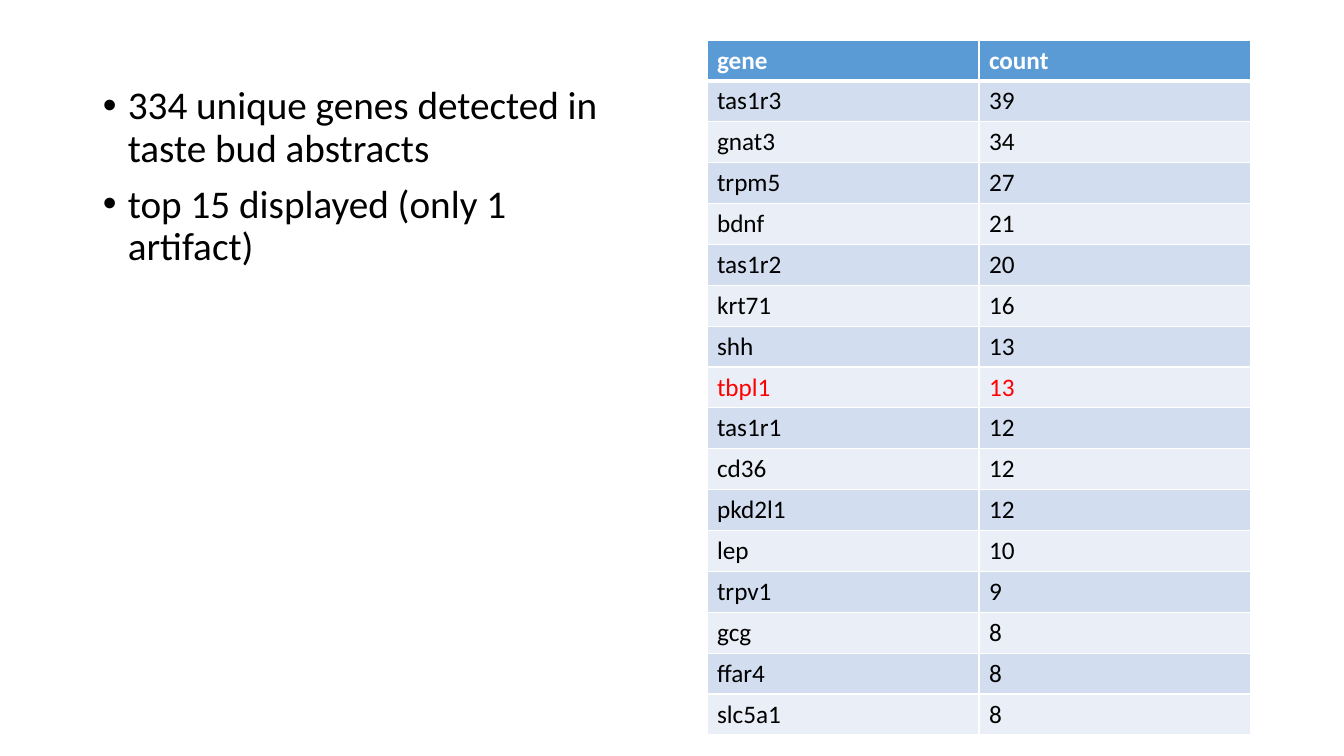
from lxml.etree import SubElement as Sub
from pptx import Presentation
from pptx.dml.color import RGBColor as RGB
from pptx.oxml.ns import qn
from pptx.util import Pt

EMU_PER_PX = 914400 / 100.8

COLORS = {
    "text": "000000",
    "artifact": "FF0000",
    "white": "FFFFFF",
    "header": "5B9BD5",
    "odd": "D2DEEF",
    "even": "EAEFF7",
}

FINDINGS = [
    "334 unique genes detected in taste bud abstracts",
    "top 15 displayed (only 1 artifact)",
]

GENE_COUNTS = [
    ("tas1r3", 39), ("gnat3", 34), ("trpm5", 27), ("bdnf", 21),
    ("tas1r2", 20), ("krt71", 16), ("shh", 13), ("tbpl1", 13),
    ("tas1r1", 12), ("cd36", 12), ("pkd2l1", 12), ("lep", 10),
    ("trpv1", 9), ("gcg", 8), ("ffar4", 8), ("slc5a1", 8),
]
ARTIFACT_GENE = "tbpl1"


def px(length):
    return round(length * EMU_PER_PX)


def write(paragraph, text, size=18, color="text", bold=False):
    run = paragraph.add_run()
    run.text = text
    run.font.name = "Calibri"
    run.font.size = Pt(size)
    run.font.bold = bold
    run.font.color.rgb = RGB.from_string(COLORS[color])


def add_bullet(paragraph):
    props = paragraph._p.get_or_add_pPr()
    props.set("marL", str(px(25)))
    props.set("indent", str(-px(25)))
    Sub(props, qn("a:buFont"), typeface="Arial")
    Sub(props, qn("a:buChar"), char="•")


def add_bullet_list(slide, items, left, top, width, height):
    frame = slide.shapes.add_textbox(px(left), px(top), px(width), px(height)).text_frame
    frame.word_wrap = True
    for index, item in enumerate(items):
        paragraph = frame.add_paragraph() if index else frame.paragraphs[0]
        paragraph.line_spacing = 0.9
        if index:
            paragraph.space_before = Pt(10)
        add_bullet(paragraph)
        write(paragraph, item, size=28)


def set_borders(cell, bottom=1):
    props = cell._tc.get_or_add_tcPr()
    for side, points in (("L", 1), ("R", 1), ("T", 1), ("B", bottom)):
        line = Sub(props, qn(f"a:ln{side}"), w=str(Pt(points)))
        Sub(Sub(line, qn("a:solidFill")), qn("a:srgbClr"), val=COLORS["white"])


def fill_cell(cell, text, fill, bottom=1, **text_format):
    set_borders(cell, bottom)
    cell.fill.solid()
    cell.fill.fore_color.rgb = RGB.from_string(COLORS[fill])
    write(cell.text_frame.paragraphs[0], text, **text_format)


def add_gene_table(slide, left, top, column_width, row_height):
    row_total = len(GENE_COUNTS) + 1
    genes = slide.shapes.add_table(
        row_total, 2, px(left), px(top), px(2 * column_width), px(row_total * row_height)
    ).table
    for column in genes.columns:
        column.width = px(column_width)
    for row in genes.rows:
        row.height = px(row_height)

    # Header row
    for col, heading in enumerate(("gene", "count")):
        fill_cell(genes.cell(0, col), heading, "header", bottom=3, color="white", bold=True)

    # Banded gene rows, with the artifact in red
    for row, (gene, count) in enumerate(GENE_COUNTS, start=1):
        band = "odd" if row % 2 else "even"
        color = "artifact" if gene == ARTIFACT_GENE else "text"
        for col, value in enumerate((gene, count)):
            fill_cell(genes.cell(row, col), str(value), band, color=color)


def main():
    deck = Presentation()
    deck.slide_width, deck.slide_height = px(1344), px(756)
    slide = deck.slides.add_slide(deck.slide_layouts[6])

    # Gene counts on the right
    add_gene_table(slide, left=707, top=40, column_width=272, row_height=40)

    # Findings on the left
    add_bullet_list(slide, FINDINGS, left=93, top=81, width=556, height=543)

    deck.save("out.pptx")


if __name__ == "__main__":
    main()
